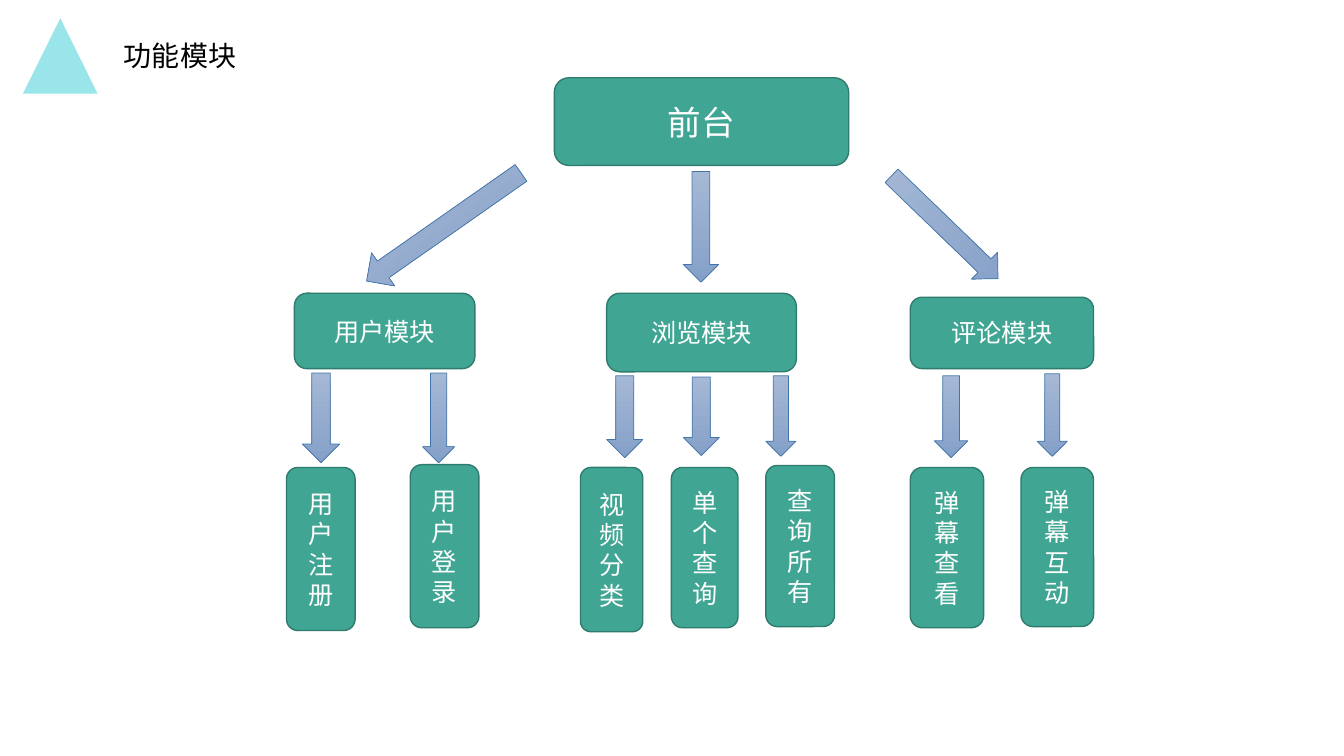
from lxml import etree
from pptx import Presentation
from pptx.dml.color import RGBColor
from pptx.enum import shapes, text
from pptx.oxml import ns
from pptx.util import Cm, Pt

COLORS = {
    "accent": "9AE5E9", "title": "000000", "label": "FFFFFF",
    "box": "40A693", "box_edge": "2F7B6D",
    "arrow_top": "A5B8D5", "arrow_bottom": "85A0C8", "arrow_edge": "4276AA",
}
FONT = "Noto Sans CJK SC"
KIND = shapes.MSO_SHAPE

ROOT = (13.97, 1.96, 7.42, 2.21)
BRANCHES = [
    {
        "name": "用户模块", "box": (7.42, 7.39, 4.55, 1.9),
        "link": (KIND.LEFT_ARROW, (-5.16, 3.25, 4.75, 1.02), 325),
        "leaves": [
            ("用户注册", (0.2, 2.01, 0.94, 2.26), (-0.2, 4.39, 1.73, 4.11)),
            ("用户登录", (3.23, 2.01, 0.81, 2.26), (2.92, 4.32, 1.73, 4.11)),
        ],
    },
    {
        "name": "浏览模块", "box": (15.29, 7.39, 4.78, 1.98),
        "link": (KIND.DOWN_ARROW, (3.25, 2.36, 0.89, 2.79), 0),
        "leaves": [
            ("视频分类", (0, 2.08, 0.91, 2.06), (-0.66, 4.39, 1.57, 4.14)),
            ("单个查询", (1.93, 2.11, 0.91, 1.98), (1.63, 4.39, 1.68, 4.04)),
            ("查询所有", (4.01, 2.08, 0.76, 2.03), (4.01, 4.34, 1.73, 4.06)),
        ],
    },
    {
        "name": "评论模块", "box": (22.94, 7.49, 4.62, 1.8),
        "link": (KIND.DOWN_ARROW, (9.37, 1.9, 0.94, 3.73), 314),
        "leaves": [
            ("弹幕查看", (0.61, 1.98, 0.84, 2.06), (0, 4.29, 1.85, 4.04)),
            ("弹幕互动", (3.2, 1.93, 0.76, 2.08), (2.79, 4.29, 1.83, 4.01)),
        ],
    },
]


def rgb(key):
    """Return the named colour."""
    return RGBColor.from_string(COLORS[key])


def within(parent, offset):
    """Shift an offset box by the corner of its parent box."""
    return parent[0] + offset[0], parent[1] + offset[1], offset[2], offset[3]


def write(frame, words, size, color, align):
    """Put one formatted paragraph into a text frame."""
    frame.text = words
    frame.word_wrap = True
    line = frame.paragraphs[0]
    line.alignment = align
    line.font.size = Pt(size)
    line.font.name = FONT
    line.font.color.rgb = rgb(color)
    latin = line.font._element.find(ns.qn("a:latin"))
    east_asian = etree.Element(ns.qn("a:ea"), typeface=FONT)
    latin.addnext(east_asian)


def add_outline(slide, kind, box, edge=None, weight=1):
    """Add a shadowless preset shape with an optional edge."""
    outline = slide.shapes.add_shape(kind, *map(Cm, box))
    outline.shadow.inherit = False
    if edge:
        outline.line.color.rgb = rgb(edge)
        outline.line.width = Pt(weight)
    else:
        outline.line.fill.background()
    return outline


def add_module(slide, box, words, size=18):
    """Add a labelled green module box."""
    module = add_outline(slide, KIND.ROUNDED_RECTANGLE, box, "box_edge")
    module.fill.solid()
    module.fill.fore_color.rgb = rgb("box")
    module.text_frame.vertical_anchor = text.MSO_ANCHOR.MIDDLE
    write(module.text_frame, words, size, "label", text.PP_ALIGN.CENTER)


def add_arrow(slide, kind, box, rotation=0):
    """Add a block arrow shaded from top to bottom."""
    arrow = add_outline(slide, kind, box, "arrow_edge", 0.5)
    arrow.rotation = rotation
    arrow.fill.gradient()
    arrow.fill.gradient_angle = 270
    for stop, key in zip(arrow.fill.gradient_stops, ("arrow_top", "arrow_bottom")):
        stop.color.rgb = rgb(key)


def add_header(slide, box):
    """Place the accent triangle and the slide title."""
    accent = add_outline(slide, KIND.ISOSCELES_TRIANGLE, within(box, (0, 0, 1.88, 1.9)))
    accent.fill.solid()
    accent.fill.fore_color.rgb = rgb("accent")
    title = slide.shapes.title
    title.left, title.top, title.width, title.height = map(
        Cm, within(box, (2.29, 0.38, 6.45, 1.12)))
    title.text_frame.vertical_anchor = text.MSO_ANCHOR.TOP
    title.text_frame.auto_size = text.MSO_AUTO_SIZE.SHAPE_TO_FIT_TEXT
    write(title.text_frame, "功能模块", 20, "title", text.PP_ALIGN.LEFT)


def add_branch(slide, box, branch):
    """Place a module with its incoming arrow and its leaves."""
    kind, offset, rotation = branch["link"]
    add_arrow(slide, kind, within(ROOT, offset), rotation)
    add_module(slide, box, branch["name"])
    for words, arrow, leaf in branch["leaves"]:
        add_arrow(slide, KIND.DOWN_ARROW, within(box, arrow))
        add_module(slide, within(box, leaf), words)


def main():
    """Build the module tree slide."""
    deck = Presentation()
    deck.slide_width, deck.slide_height = Cm(33.87), Cm(19.05)
    slide = deck.slides.add_slide(deck.slide_layouts.get_by_name("Title Only"))
    add_header(slide, (0.58, 0.46, 8.74, 1.9))
    add_module(slide, ROOT, "前台", 24)
    for branch in BRANCHES:
        add_branch(slide, branch["box"], branch)
    deck.save("out.pptx")


if __name__ == "__main__":
    main()
